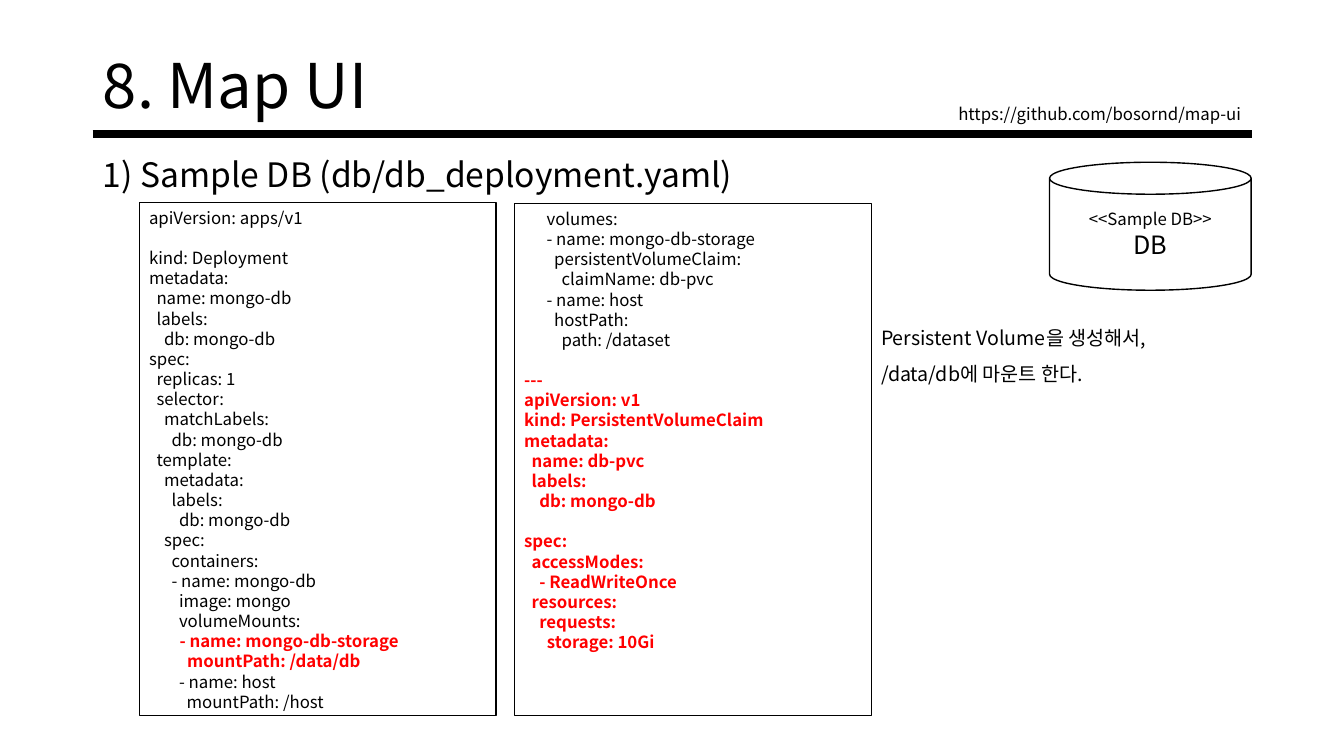
from lxml import etree
from pptx import Presentation
from pptx import util as u
from pptx.dml.color import RGBColor
from pptx.enum import shapes, text
from pptx.oxml import ns

Inches, Pt = u.Inches, u.Pt
FONT = "Noto Sans CJK KR"
COLORS = {"ink": "000000", "paper": "FFFFFF", "accent": "FF0000"}
CODE_LINE = Pt(14.4)

DEPLOYMENT = """\
apiVersion: apps/v1

kind: Deployment
metadata:
  name: mongo-db
  labels:
    db: mongo-db
spec:
  replicas: 1
  selector:
    matchLabels:
      db: mongo-db
  template:
    metadata:
      labels:
        db: mongo-db
    spec:
      containers:
      - name: mongo-db
        image: mongo
        volumeMounts:"""
STORAGE_MOUNT = """\
        - name: mongo-db-storage
          mountPath: /data/db"""
HOST_MOUNT = """\
        - name: host
          mountPath: /host"""
VOLUMES = """\
      volumes:
      - name: mongo-db-storage
        persistentVolumeClaim:
          claimName: db-pvc
      - name: host
        hostPath:
          path: /dataset
"""
VOLUME_CLAIM = """\
---
apiVersion: v1
kind: PersistentVolumeClaim
metadata:
  name: db-pvc
  labels:
    db: mongo-db

spec:
  accessModes:
    - ReadWriteOnce
  resources:
    requests:
      storage: 10Gi"""


def color(name):
    return RGBColor.from_string(COLORS[name])


def place(sp, box):
    for name, value in zip(("left", "top", "width", "height"), box):
        setattr(sp, name, Inches(value))


def write_line(tf, line, size, ink="ink", bold=False, **formats):
    """Fill the frame's first paragraph, or add one below the existing text."""
    p = tf.paragraphs[0]
    if p.runs:
        p = tf.add_paragraph()
    for name, value in formats.items():
        setattr(p, name, value)
    r = p.add_run()
    r.text = line
    for name, value in {"size": Pt(size), "name": FONT, "bold": bold}.items():
        setattr(r.font, name, value)
    r.font.color.rgb = color(ink)
    latin = r.font._element.find(ns.qn("a:latin"))
    latin.addnext(latin.makeelement(ns.qn("a:ea"), {"typeface": FONT}))
    return p


def fill_placeholder(sp, box, line, size, anchor, **formats):
    place(sp, box)
    tf = sp.text_frame
    tf.vertical_anchor = anchor
    tf.auto_size = text.MSO_AUTO_SIZE.NONE
    return write_line(tf, line, size, alignment=text.PP_ALIGN.LEFT,
                      space_before=Pt(0), **formats)


def remove_bullet(p):
    pPr = p._p.get_or_add_pPr()
    pPr.set("marL", "0")
    pPr.set("indent", "0")
    etree.SubElement(pPr, ns.qn("a:buNone"))


def add_rule(s, start, end, width):
    line = s.shapes.add_connector(shapes.MSO_CONNECTOR.STRAIGHT,
                                  *map(Inches, start + end))
    line.line.color.rgb = color("ink")
    line.line.width = Pt(width)
    etree.SubElement(line._element.spPr, ns.qn("a:effectLst"))


def add_outlined(s, kind, box, width, anchor):
    """Add a white shape with a black outline and return its text frame."""
    sp = s.shapes.add_shape(kind, *map(Inches, box))
    sp.shadow.inherit = False
    sp.fill.solid()
    sp.fill.fore_color.rgb = color("paper")
    sp.line.color.rgb = color("ink")
    sp.line.width = Pt(width)
    sp.text_frame.word_wrap = True
    sp.text_frame.vertical_anchor = anchor
    return sp.text_frame


def add_code(s, box, *blocks):
    """Write (code, ink) blocks; an empty code line becomes space before."""
    tf = add_outlined(s, shapes.MSO_SHAPE.RECTANGLE, box, 0.75,
                      text.MSO_ANCHOR.TOP)
    gap = 0
    for code, ink in blocks:
        for line in code.split("\n"):
            if line:
                write_line(tf, line, 12, ink, ink == "accent",
                           alignment=text.PP_ALIGN.LEFT, space_before=gap)
            gap = 0 if line else CODE_LINE


def add_text(s, box, lines, size, anchor=text.MSO_ANCHOR.TOP, **formats):
    tf = s.shapes.add_textbox(*map(Inches, box)).text_frame
    tf.word_wrap = True
    tf.vertical_anchor = anchor
    for line in lines:
        write_line(tf, line, size, **formats)


def main():
    prs = Presentation()
    prs.slide_width, prs.slide_height = Inches(13.33), Inches(7.5)
    s = prs.slides.add_slide(prs.slide_layouts[1])

    add_rule(s, (0.92, 1.33), (12.42, 1.33), 6)
    fill_placeholder(s.shapes.title, (0.92, 0.4, 11.5, 0.96), "8. Map UI", 44,
                     text.MSO_ANCHOR.MIDDLE, line_spacing=0.9)
    heading = fill_placeholder(s.placeholders[1], (0.92, 1.48, 11.5, 1.27),
                               "1) Sample DB (db/db_deployment.yaml)", 24,
                               text.MSO_ANCHOR.TOP)
    remove_bullet(heading)
    add_text(s, (5.83, 0.98, 6.58, 0.3), ["https://github.com/bosornd/map-ui"],
             12, text.MSO_ANCHOR.BOTTOM, alignment=text.PP_ALIGN.RIGHT)

    database = add_outlined(s, shapes.MSO_SHAPE.CAN, (10.41, 1.61, 2, 1.27), 1,
                            text.MSO_ANCHOR.MIDDLE)
    for label, size in (("<<Sample DB>>", 12), ("DB", 18)):
        write_line(database, label, size, alignment=text.PP_ALIGN.CENTER)

    add_code(s, (1.38, 2.01, 3.54, 5.09), (DEPLOYMENT, "ink"),
             (STORAGE_MOUNT, "accent"), (HOST_MOUNT, "ink"))
    add_code(s, (5.1, 2.02, 3.54, 5.08), (VOLUMES, "ink"),
             (VOLUME_CLAIM, "accent"))
    add_text(s, (8.64, 3.07, 3.04, 0.76),
             ["Persistent Volume을 생성해서,", "/data/db에 마운트 한다."], 14,
             line_spacing=1.5)
    prs.save("out.pptx")


if __name__ == "__main__":
    main()
